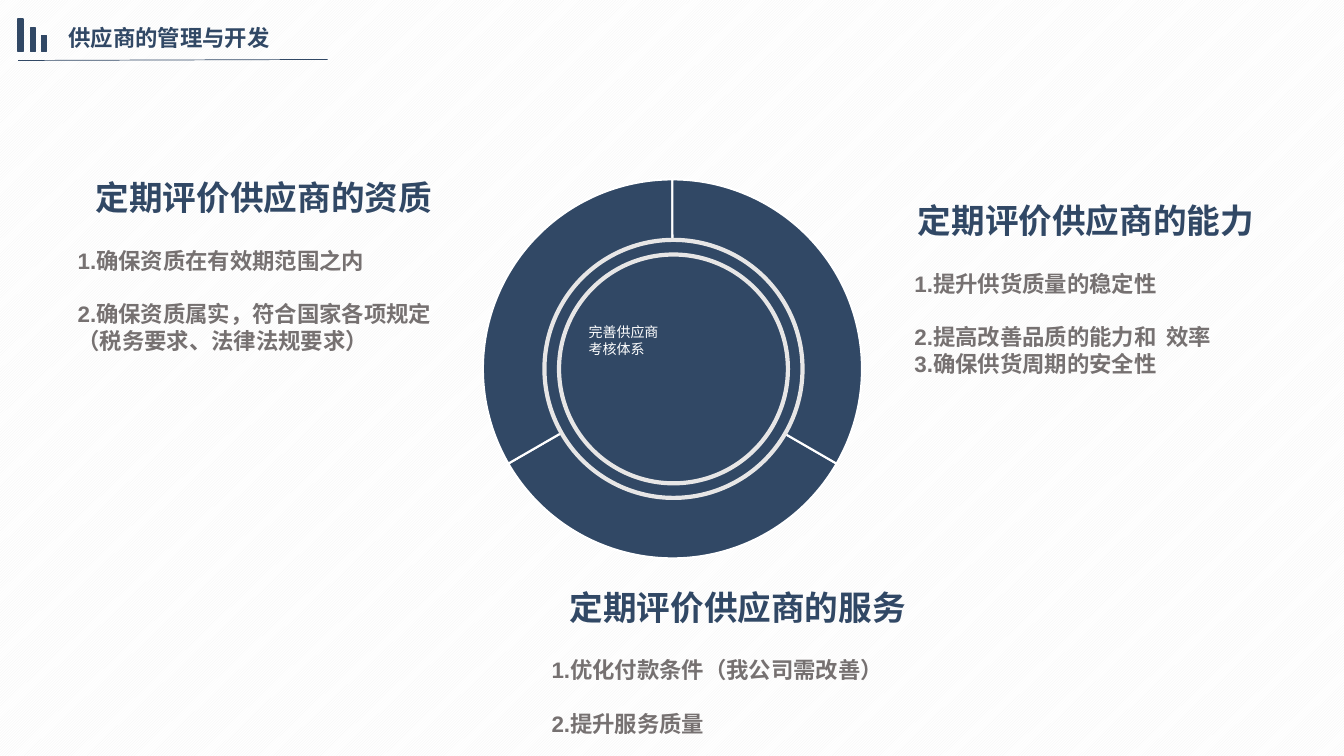
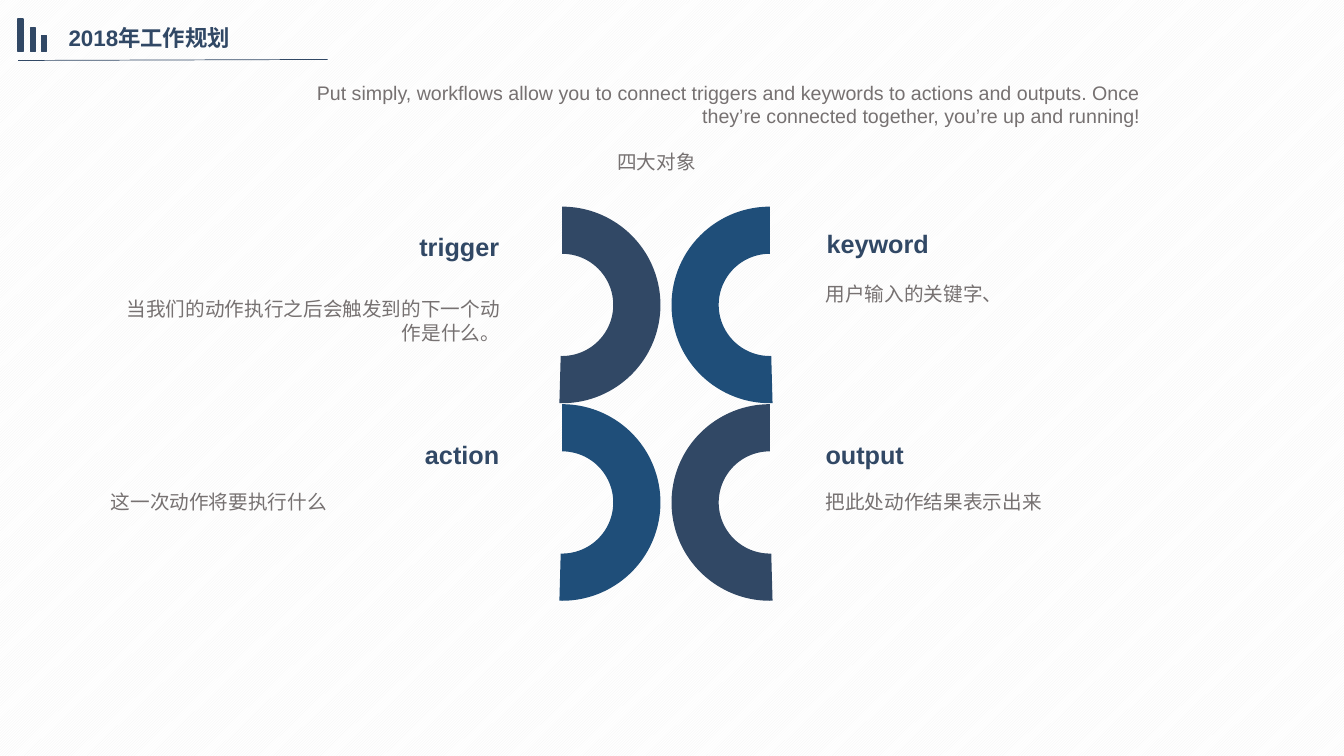
from lxml import etree
from pptx import Presentation
from pptx.dml.color import RGBColor
from pptx.enum.dml import MSO_PATTERN
from pptx.enum.shapes import MSO_CONNECTOR, MSO_SHAPE
from pptx.enum.text import MSO_ANCHOR, MSO_AUTO_SIZE, PP_ALIGN
from pptx.oxml.ns import qn
from pptx.util import Inches, Pt

NAVY = RGBColor(0x31, 0x48, 0x65)
BLUE = RGBColor(0x1F, 0x4E, 0x79)
GRAY = RGBColor(0x76, 0x71, 0x71)
SILVER = RGBColor(0xE7, 0xE6, 0xE6)
STRIPE = RGBColor(0xF2, 0xF2, 0xF2)
WHITE = RGBColor(0xFF, 0xFF, 0xFF)
FONT = "Arial"
LEFT, CENTER, RIGHT = PP_ALIGN.LEFT, PP_ALIGN.CENTER, PP_ALIGN.RIGHT


def write_text(shape, box, lines, anchor=MSO_ANCHOR.TOP):
    """Place shape at box and fill it; a line is (text, size, bold, color, align, gap, indent, tab)."""
    shape.left, shape.top, shape.width, shape.height = map(Inches, box)
    frame = shape.text_frame
    frame.word_wrap = True
    frame.auto_size = MSO_AUTO_SIZE.NONE
    frame.vertical_anchor = anchor
    for index, (text, size, bold, color, align, gap, indent, tab) in enumerate(lines):
        paragraph = frame.add_paragraph() if index else frame.paragraphs[0]
        paragraph.text = text
        properties = paragraph._p.get_or_add_pPr()
        properties.set("marL", str(Inches(indent)))
        properties.set("indent", "0")
        etree.SubElement(properties, qn("a:buNone"))
        if tab:
            tabs = etree.SubElement(properties, qn("a:tabLst"))
            etree.SubElement(tabs, qn("a:tab"), pos=str(Inches(tab)), algn="l")
        paragraph.alignment = align
        paragraph.space_before = Pt(gap)
        paragraph.font.name = FONT
        paragraph.font.size = Pt(size)
        paragraph.font.bold = bold
        paragraph.font.color.rgb = color


def add_flat_shape(slide, preset, box, fill, line=None, line_width=1):
    shape = slide.shapes.add_shape(preset, *map(Inches, box))
    shape.shadow.inherit = False
    shape.fill.solid()
    shape.fill.fore_color.rgb = fill
    if line is None:
        shape.line.fill.background()
    else:
        shape.line.color.rgb = line
        shape.line.width = Pt(line_width)
    return shape


presentation = Presentation()
presentation.slide_width = Inches(13.33)
presentation.slide_height = Inches(7.5)

background = presentation.slide_master.background.fill
background.patterned()
background.pattern = MSO_PATTERN.DARK_UPWARD_DIAGONAL
background.fore_color.rgb = STRIPE
background.back_color.rgb = WHITE

# Shared header: title, rule and three bars
slides = []
for layout_name, title in [("Comparison", "供应商的管理与开发"), ("Title Only", "2018年工作规划")]:
    slide = presentation.slides.add_slide(presentation.slide_layouts.get_by_name(layout_name))
    write_text(slide.shapes.title, (0.58, 0.19, 2.66, 0.37),
               [(title, 16, True, NAVY, LEFT, 0, 0, None)], MSO_ANCHOR.MIDDLE)
    rule = slide.shapes.add_connector(
        MSO_CONNECTOR.STRAIGHT, Inches(0.18), Inches(0.6), Inches(3.25), Inches(0.59))
    rule.line.color.rgb = NAVY
    rule.line.width = Pt(0.5)
    etree.SubElement(rule._element.spPr, qn("a:effectLst"))
    for left, top in [(0.18, 0.19), (0.3, 0.28), (0.41, 0.35)]:
        add_flat_shape(slide, MSO_SHAPE.RECTANGLE, (left, top, 0.05, 0.51 - top), NAVY, NAVY)
    slides.append(slide)
supplier_slide, plan_slide = slides

# Supplier slide: three-part ring with a double-edged hub
RING_X, RING_Y, RING_RADIUS = 6.67, 3.66, 1.88
ANGLE_UNIT = 0.6  # adjustment value of one degree
for start in (30, 150, 270):
    sector = add_flat_shape(
        supplier_slide, MSO_SHAPE.PIE,
        (RING_X - RING_RADIUS, RING_Y - RING_RADIUS, 2 * RING_RADIUS, 2 * RING_RADIUS),
        NAVY, WHITE, 1.5)
    sector.adjustments[0] = start * ANGLE_UNIT
    sector.adjustments[1] = (start + 120) % 360 * ANGLE_UNIT
for diameter in (2.56, 2.27):
    add_flat_shape(
        supplier_slide, MSO_SHAPE.OVAL,
        (RING_X + 0.01 - diameter / 2, RING_Y - diameter / 2, diameter, diameter),
        NAVY, SILVER, 3)
write_text(supplier_slide.shapes.add_textbox(0, 0, 0, 0), (5.74, 3.16, 1.88, 1.01),
           [(text, 10, False, WHITE, LEFT, 0, 0, None) for text in ("完善供应商", "考核体系")])

# Box, heading, heading alignment and indent, then items as (text, gap before, tab stop)
reviews = [
    ((0.67, 1.61, 3.92, 2.05), "定期评价供应商的资质", LEFT, 0.18,
     [("1.确保资质在有效期范围之内", 21, None),
      ("2.确保资质属实，符合国家各项规定（税务要求、法律法规要求）", 19, None)]),
    ((8.97, 1.76, 3.6, 2.21), "定期评价供应商的能力", CENTER, 0,
     [("1.提升供货质量的稳定性", 21, None),
      ("2.提高改善品质的能力和\t效率", 19, 2.65),
      ("3.确保供货周期的安全性", 0, None)]),
    ((5.37, 5.54, 4.29, 2.05), "定期评价供应商的服务", LEFT, 0.18,
     [("1.优化付款条件（我公司需改善）", 21, None),
      ("2.提升服务质量", 19, None)]),
]
title_placeholder, *bodies = [
    shape for shape in supplier_slide.placeholders if shape.placeholder_format.idx < 10]
for body, (box, heading, align, indent, items) in zip(bodies, reviews):
    lines = [(heading, 24, True, NAVY, align, 0, indent, None)]
    lines += [(text, 16, True, GRAY, LEFT, gap, 0, tab) for text, gap, tab in items]
    write_text(body, box, lines, MSO_ANCHOR.MIDDLE)
for unused in bodies[len(reviews):]:
    unused._element.getparent().remove(unused._element)

# Plan slide: four half rings, back to back
ARC_SIZE = 1.95
for row, top in enumerate((2.05, 4.01)):
    for column, left in enumerate((4.6, 6.66)):
        arc = add_flat_shape(plan_slide, MSO_SHAPE.BLOCK_ARC, (left, top, ARC_SIZE, ARC_SIZE),
                             NAVY if row == column else BLUE)
        for index, value in enumerate((108, 0.96, 0.24)):
            arc.adjustments[index] = value
        arc.rotation = 270 if column else 90
        if column:
            arc._element.spPr.xfrm.set("flipH", "1")

labels = [
    ("trigger", 2.85, 2.25, RIGHT),
    ("keyword", 8.1, 2.22, LEFT),
    ("action", 2.85, 4.31, RIGHT),
    ("output", 8.09, 4.31, LEFT),
]
for text, left, top, align in labels:
    write_text(plan_slide.shapes.add_textbox(0, 0, 0, 0), (left, top, 2.2, 0.4),
               [(text, 18, True, NAVY, align, 0, 0, None)])

descriptions = [
    ("Put simply, workflows allow you to connect triggers and keywords to actions and outputs. "
     "Once they’re connected together, you’re up and running!", (2.65, 0.75, 8.76, 0.57), RIGHT),
    ("四大对象", (2.95, 1.44, 4.05, 0.34), RIGHT),
    ("当我们的动作执行之后会触发到的下一个动作是什么。", (1.01, 2.9, 4.05, 0.57), RIGHT),
    ("用户输入的关键字、", (8.09, 2.75, 4.05, 0.34), LEFT),
    ("这一次动作将要执行什么", (1, 4.81, 4.05, 0.34), LEFT),
    ("把此处动作结果表示出来", (8.09, 4.81, 4.05, 0.34), LEFT),
]
for text, box, align in descriptions:
    write_text(plan_slide.shapes.add_textbox(0, 0, 0, 0), box,
               [(text, 14, False, GRAY, align, 0, 0, None)])

# Date, footer and number placeholders are not copied from the layouts, so nothing else is empty
presentation.save("out.pptx")
